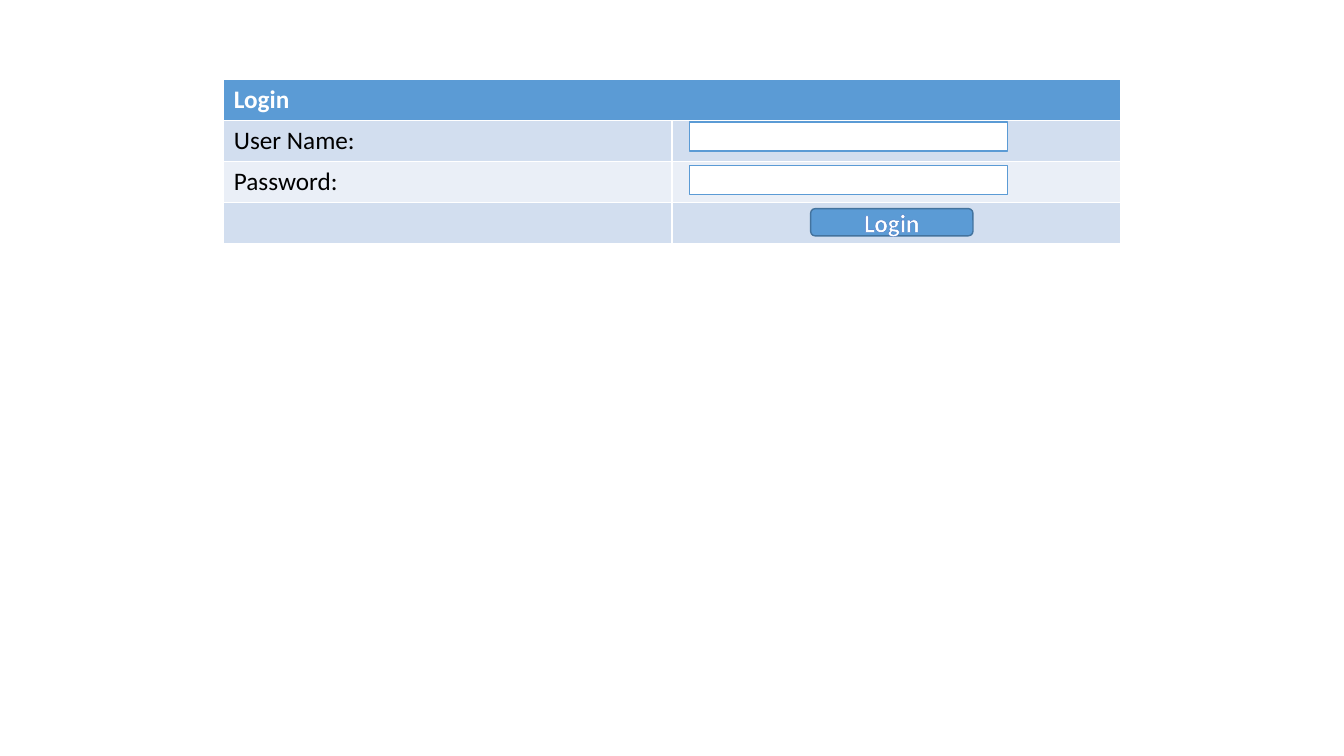
"""Build a slide with a login form: a table, two input fields and a button."""
from dataclasses import dataclass

from lxml import etree
from pptx import Presentation
from pptx.dml.color import RGBColor
from pptx.enum import shapes, text
from pptx.oxml.ns import qn
from pptx.util import Inches, Pt


@dataclass(frozen=True)
class Theme:
    font: str = "Calibri"
    size: int = 18
    accent: str = "5B9BD5"
    accent_dark: str = "43739E"
    outline: str = "4472C4"
    band_dark: str = "D2DEEF"
    band_light: str = "EAEFF7"
    white: str = "FFFFFF"
    black: str = "000000"


@dataclass(frozen=True)
class Row:
    label: str
    fill: str
    color: str
    bold: bool = False


@dataclass(frozen=True)
class Control:
    kind: shapes.MSO_SHAPE
    left: float
    top: float
    width: float
    height: float
    fill: str
    line: str
    label: str = ""


THEME = Theme()
ROWS = [
    Row("Login", THEME.accent, THEME.white, True),
    Row("User Name:", THEME.band_dark, THEME.black),
    Row("Password:", THEME.band_light, THEME.black),
    Row("", THEME.band_dark, THEME.black),
]
BUTTON = Control(shapes.MSO_SHAPE.ROUNDED_RECTANGLE, 8.04, 2.07, 1.61, 0.27,
                 THEME.accent, THEME.accent_dark, "Login")
FIELDS = [
    Control(shapes.MSO_SHAPE.RECTANGLE, 6.84, top, 3.15, 0.29, THEME.white, THEME.accent)
    for top in (1.64, 1.21)
]


def rgb(color: str) -> RGBColor:
    return RGBColor.from_string(color)


def style_paragraph(p, color: str, bold: bool) -> None:
    p.font.name = THEME.font
    p.font.size = Pt(THEME.size)
    p.font.bold = bold
    p.font.color.rgb = rgb(color)


def outline_text(r, color: str, width: float) -> None:
    ln = etree.Element(qn("a:ln"), w=str(Pt(width)))
    fill = etree.SubElement(ln, qn("a:solidFill"))
    etree.SubElement(fill, qn("a:srgbClr"), val=color)
    r._r.get_or_add_rPr().insert(0, ln)


def add_form(slide, rows: list[Row]) -> None:
    frame = slide.shapes.add_table(len(rows), 2, Inches(2.22), Inches(0.79),
                                   Inches(8.89), Inches(1.62))
    table = frame.table
    for i, row in enumerate(rows):
        for cell in table.rows[i].cells:
            cell.fill.solid()
            cell.fill.fore_color.rgb = rgb(row.fill)
        p = table.cell(i, 0).text_frame.paragraphs[0]
        p.text = row.label
        style_paragraph(p, row.color, row.bold)
    table.cell(0, 0).merge(table.cell(0, 1))


def add_control(slide, control: Control) -> None:
    sp = slide.shapes.add_shape(control.kind, Inches(control.left), Inches(control.top),
                                Inches(control.width), Inches(control.height))
    sp.shadow.inherit = False
    sp.fill.solid()
    sp.fill.fore_color.rgb = rgb(control.fill)
    sp.line.color.rgb = rgb(control.line)
    sp.line.width = Pt(1)
    if control.label:
        tf = sp.text_frame
        tf.vertical_anchor = text.MSO_ANCHOR.MIDDLE
        p = tf.paragraphs[0]
        p.alignment = text.PP_ALIGN.CENTER
        style_paragraph(p, THEME.white, True)
        r = p.add_run()
        r.text = control.label
        outline_text(r, THEME.outline, 0.8)


def main() -> None:
    prs = Presentation()
    prs.slide_width, prs.slide_height = Inches(13.33), Inches(7.5)
    slide = prs.slides.add_slide(prs.slide_layouts[6])
    add_form(slide, ROWS)
    for control in [BUTTON, *FIELDS]:
        add_control(slide, control)
    prs.save("out.pptx")


if __name__ == "__main__":
    main()
